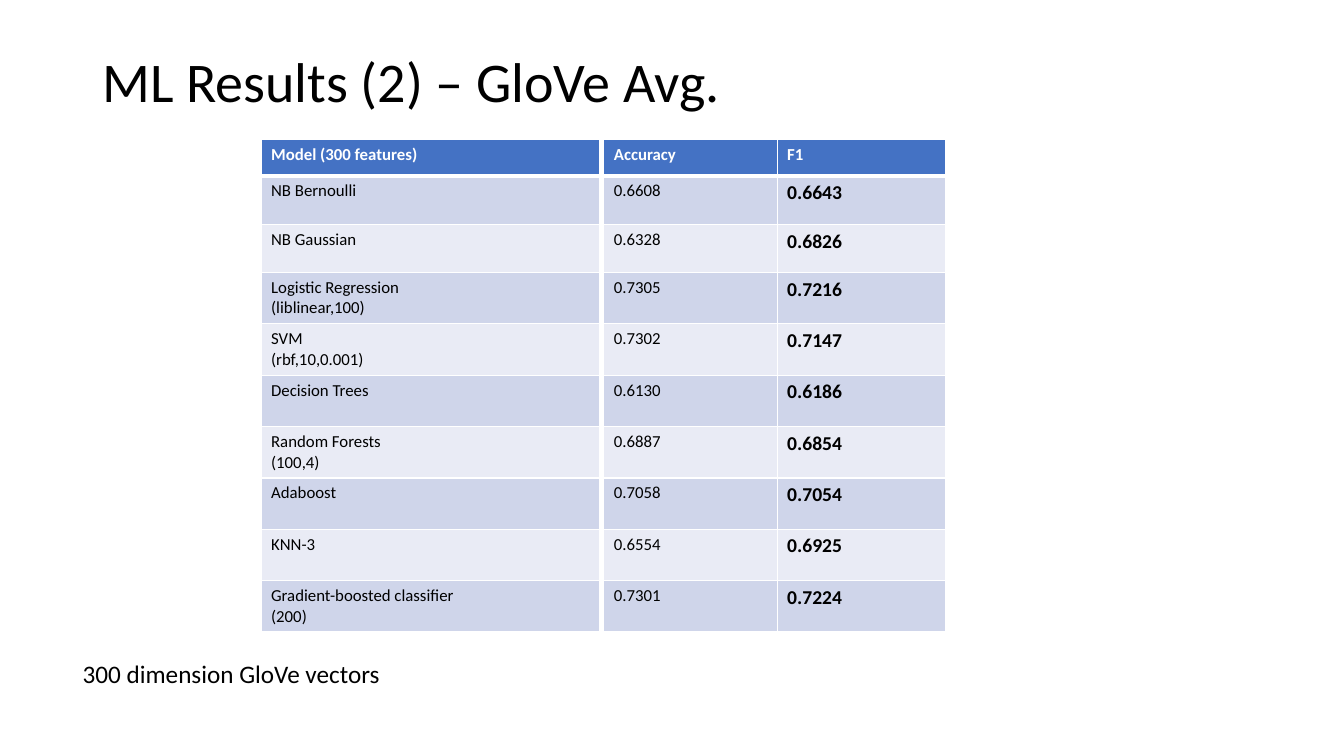
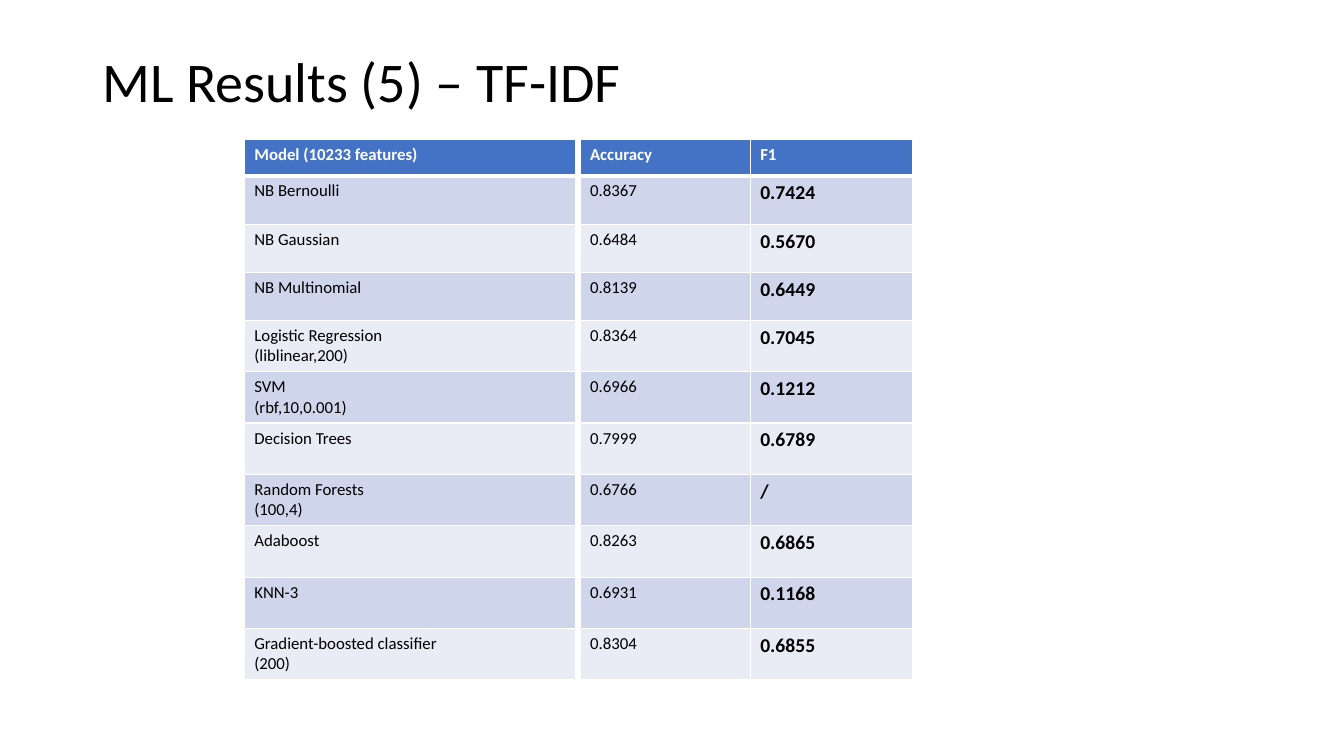
from pptx import Presentation
from pptx.dml.color import RGBColor
from pptx.enum.shapes import MSO_CONNECTOR
from pptx.enum.text import MSO_ANCHOR, MSO_AUTO_SIZE, PP_ALIGN
from pptx.oxml.ns import qn
from pptx.util import Pt
from lxml.etree import SubElement

# Content
RESULTS = [
    {
        "title": "ML Results (2) – GloVe Avg.",
        "left": 186.5,
        "columns": [244.8, 123.8, 120.2],
        "short_rows": [35, 34.2],
        "right_rule": False,
        "note": "300 dimension GloVe vectors",
        "rows": [
            ("Model (300 features)", "Accuracy", "F1"),
            ("NB Bernoulli", "0.6608", "0.6643"),
            ("NB Gaussian", "0.6328", "0.6826"),
            ("Logistic Regression\n(liblinear,100)", "0.7305", "0.7216"),
            ("SVM\n(rbf,10,0.001)", "0.7302", "0.7147"),
            ("Decision Trees", "0.6130", "0.6186"),
            ("Random Forests\n(100,4)", "0.6887", "0.6854"),
            ("Adaboost", "0.7058", "0.7054"),
            ("KNN-3", "0.6554", "0.6925"),
            ("Gradient-boosted classifier\n(200)", "0.7301", "0.7224"),
        ],
    },
    {
        "title": "ML Results (5) – TF-IDF",
        "left": 174.5,
        "columns": [239.8, 121.6, 117.2],
        "short_rows": [35, 34.2, 34.2],
        "right_rule": True,
        "note": None,
        "rows": [
            ("Model (10233 features)", "Accuracy", "F1"),
            ("NB Bernoulli", "0.8367", "0.7424"),
            ("NB Gaussian", "0.6484", "0.5670"),
            ("NB Multinomial", "0.8139", "0.6449"),
            ("Logistic Regression\n(liblinear,200)", "0.8364", "0.7045"),
            ("SVM\n(rbf,10,0.001)", "0.6966", "0.1212"),
            ("Decision Trees", "0.7999", "0.6789"),
            ("Random Forests\n(100,4)", "0.6766", "/"),
            ("Adaboost", "0.8263", "0.6865"),
            ("KNN-3", "0.6931", "0.1168"),
            ("Gradient-boosted classifier\n(200)", "0.8304", "0.6855"),
        ],
    },
]

# Shared style
FONT = "Calibri"
COLORS = {
    "text": "000000",
    "white": "FFFFFF",
    "header": "4472C4",
    "band_dark": "CFD5EA",
    "band_light": "E9EBF5",
}
TABLE_TOP = 99.5
HEADER_HEIGHT = 26
ROW_HEIGHT = 36.7
THIN, THICK = 1, 3
RULE_OVERHANG = 10
DIVIDER_SHIFT = 1.8


def rgb(name):
    return RGBColor.from_string(COLORS[name])


def style_text(frame, size, color="text", bold=False):
    for paragraph in frame.paragraphs:
        for run in paragraph.runs:
            run.font.name = FONT
            run.font.size = Pt(size)
            run.font.bold = bold
            run.font.color.rgb = rgb(color)


def add_title(slide, text):
    title = slide.shapes.title
    title.left, title.top, title.width, title.height = Pt(66), Pt(8), Pt(828), Pt(104)
    frame = title.text_frame
    frame.text = text
    frame.vertical_anchor = MSO_ANCHOR.MIDDLE
    frame.paragraphs[0].alignment = PP_ALIGN.LEFT
    frame.paragraphs[0].line_spacing = 0.9
    style_text(frame, 40)


def set_borders(cell, top, bottom):
    properties = cell._tc.get_or_add_tcPr()
    for tag, width in (("lnL", THIN), ("lnR", THIN), ("lnT", top), ("lnB", bottom)):
        border = SubElement(properties, qn(f"a:{tag}"), w=str(Pt(width)))
        fill = SubElement(border, qn("a:solidFill"))
        SubElement(fill, qn("a:srgbClr"), val=COLORS["white"])


def style_cell(cell, row, column):
    set_borders(cell, THICK if row == 1 else THIN, THICK if row == 0 else THIN)
    cell.fill.solid()
    if row == 0:
        cell.fill.fore_color.rgb = rgb("header")
        style_text(cell.text_frame, 12, "white", bold=True)
    else:
        cell.fill.fore_color.rgb = rgb("band_dark" if row % 2 else "band_light")
        is_f1 = column == 2
        style_text(cell.text_frame, 14 if is_f1 else 12, bold=is_f1)


def add_results_table(slide, result):
    rows, columns = result["rows"], result["columns"]
    heights = [HEADER_HEIGHT, *result["short_rows"]]
    heights += [ROW_HEIGHT] * (len(rows) - len(heights))
    table = slide.shapes.add_table(
        len(rows), len(columns), Pt(result["left"]), Pt(TABLE_TOP),
        Pt(sum(columns)), Pt(sum(heights))).table
    table.horz_banding = False
    for column, width in zip(table.columns, columns):
        column.width = Pt(width)
    for row, height in zip(table.rows, heights):
        row.height = Pt(height)
    for r, values in enumerate(rows):
        for c, value in enumerate(values):
            cell = table.cell(r, c)
            cell.text_frame.text = value
            style_cell(cell, r, c)
    return TABLE_TOP + sum(heights)


def add_rule(slide, x, bottom):
    rule = slide.shapes.add_connector(
        MSO_CONNECTOR.STRAIGHT, Pt(x), Pt(TABLE_TOP), Pt(x), Pt(bottom))
    rule.line.color.rgb = rgb("white")
    rule.line.width = Pt(THICK)
    SubElement(rule._element.spPr, qn("a:effectLst"))


def add_note(slide, text):
    note = slide.shapes.add_textbox(Pt(52), Pt(467), Pt(229), Pt(29))
    frame = note.text_frame
    frame.text = text
    frame.word_wrap = False
    frame.auto_size = MSO_AUTO_SIZE.SHAPE_TO_FIT_TEXT
    style_text(frame, 18)


def add_results_slide(deck, result):
    slide = deck.slides.add_slide(deck.slide_layouts[5])
    add_title(slide, result["title"])
    rule_bottom = add_results_table(slide, result) + RULE_OVERHANG
    if result["note"]:
        add_note(slide, result["note"])
    # White rules over the column edges
    if result["right_rule"]:
        add_rule(slide, result["left"] + sum(result["columns"]), rule_bottom)
    add_rule(slide, result["left"] + result["columns"][0] - DIVIDER_SHIFT, rule_bottom)


def main():
    deck = Presentation()
    deck.slide_width, deck.slide_height = Pt(960), Pt(540)
    for result in RESULTS:
        add_results_slide(deck, result)
    deck.save("out.pptx")


if __name__ == "__main__":
    main()
